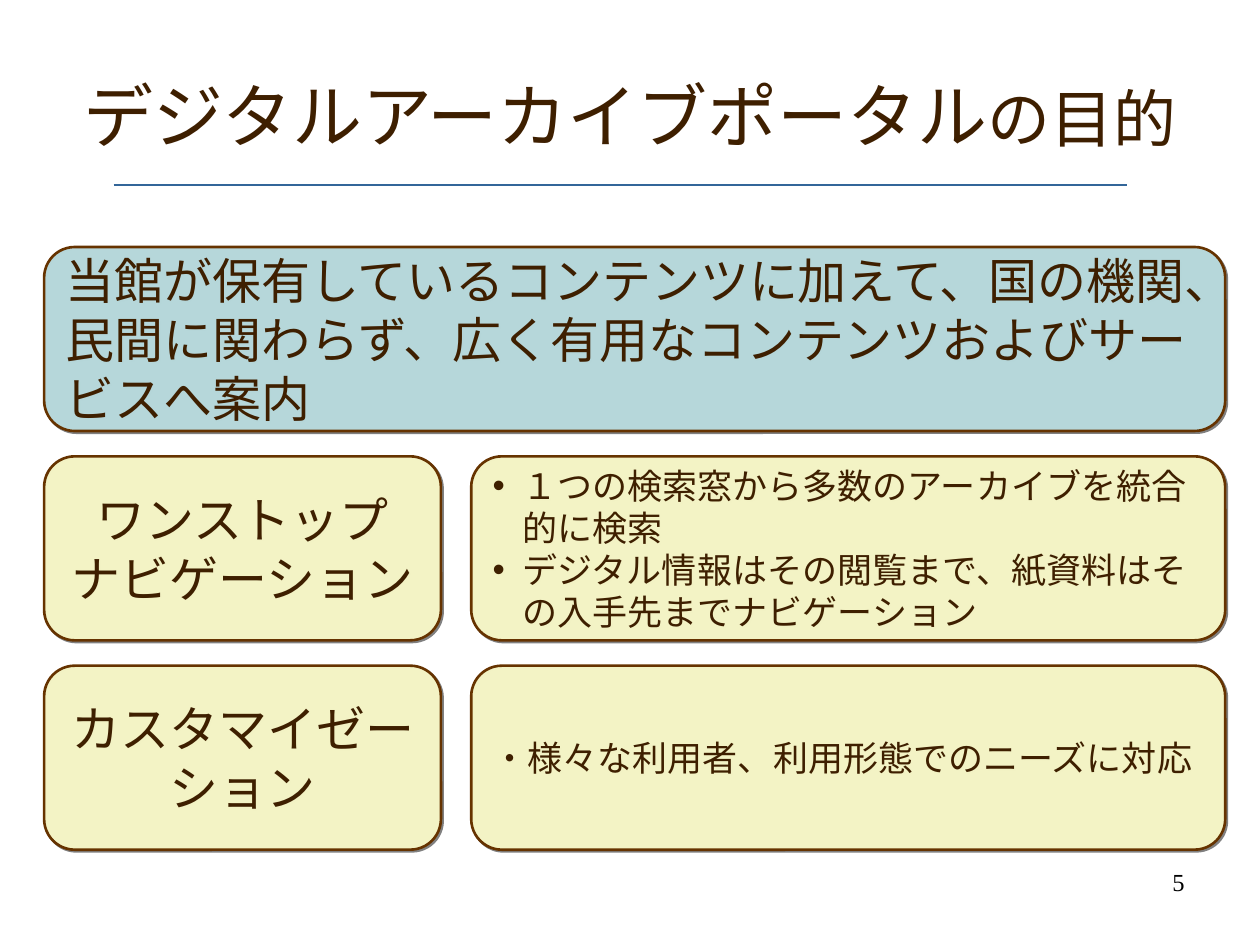
from lxml.etree import SubElement as Sub
from pptx import Presentation
from pptx.dml.color import RGBColor
from pptx.enum.lang import MSO_LANGUAGE_ID as Lang
from pptx.enum.shapes import MSO_CONNECTOR as Conn, MSO_SHAPE as Shape
from pptx.enum.text import MSO_ANCHOR as Anchor, MSO_AUTO_SIZE as Auto, PP_ALIGN as Align
from pptx.oxml.ns import qn
from pptx.util import Cm, Pt

BROWN = RGBColor(0x3E, 0x1F, 0x00)
EDGE = RGBColor(0x66, 0x33, 0x00)
CREAM = RGBColor(0xFF, 0xFF, 0xCC)
AQUA = RGBColor(0xBB, 0xE0, 0xE3)
BLUE = RGBColor(0x33, 0x66, 0x99)
BLACK = RGBColor(0, 0, 0)
NOTO, DEJA, ARIAL, TIMES = "Noto Sans CJK JP", "DejaVu Sans", "Arial", "Times New Roman"

# Grid of the boxes, in cm
LEFT, TOP, HIGH = 0.89, 4.98, 3.71
STEP = 4.22
SIDE, GAP, MAIN = 8.0, 0.61, 15.2
FULL = SIDE + GAP + MAIN


def add_run(para, text, size, font, east=DEJA, color=BROWN):
    run = para.add_run()
    run.text = text
    run.font.size = Pt(size)
    run.font.name = font
    run.font.color.rgb = color
    run.font.language_id = Lang.JAPANESE
    latin = run.font._element.find(qn("a:latin"))
    latin.addnext(latin.makeelement(qn("a:ea"), typeface=east))


def add_dot(para):
    props = para._p.get_or_add_pPr()
    props.set("marL", str(Cm(0.6)))
    props.set("indent", str(-Cm(0.6)))
    color = Sub(props, qn("a:buClr"))
    Sub(color, qn("a:srgbClr"), val=str(BROWN))
    Sub(props, qn("a:buFont"), typeface=ARIAL)
    Sub(props, qn("a:buChar"), char="•")


def add_shade(shape):
    shape.shadow.inherit = False
    effects = shape._element.spPr.find(qn("a:effectLst"))
    shade = Sub(effects, qn("a:outerShdw"), dist=str(Pt(1.4)), dir="2700000", algn="ctr", rotWithShape="0")
    Sub(shade, qn("a:srgbClr"), val="808080")


def add_box(slide, row, left, width, lines, size, fill=CREAM, align=Align.LEFT, dots=False):
    """Draw a rounded box; lines holds pairs of text and font."""
    box = slide.shapes.add_shape(Shape.FLOWCHART_ALTERNATE_PROCESS, Cm(left), Cm(TOP + row * STEP),
                                 Cm(width), Cm(HIGH))
    box.fill.solid()
    box.fill.fore_color.rgb = fill
    color = box._element.spPr.find(qn("a:solidFill"))[0]
    Sub(color, qn("a:alpha"), val="90000")
    box.line.color.rgb = EDGE
    box.line.width = Pt(1.5)
    add_shade(box)

    frame = box.text_frame
    frame.word_wrap = True
    frame.vertical_anchor = Anchor.MIDDLE
    for i, (text, font) in enumerate(lines):
        para = frame.add_paragraph() if i else frame.paragraphs[0]
        if dots:
            add_dot(para)
        para.alignment = align
        para.line_spacing = Pt(size * 1.2)
        add_run(para, text, size, font)


def add_title(slide):
    title = slide.shapes.title
    title.left, title.top, title.width, title.height = Cm(1.27), Cm(0.71), Cm(22.86), Cm(3.18)
    frame = title.text_frame
    frame.auto_size = Auto.NONE
    frame.vertical_anchor = Anchor.MIDDLE
    para = frame.paragraphs[0]
    para.alignment = Align.CENTER
    add_run(para, "デジタルアーカイブポータル", 40, NOTO, NOTO)
    add_run(para, "の目的", 36, NOTO, NOTO)


def add_rule(slide):
    rule = slide.shapes.add_connector(Conn.STRAIGHT, Cm(2.29), Cm(3.73), Cm(22.71), Cm(3.73))
    rule.line.color.rgb = BLUE
    rule.line.width = Pt(0.75)
    Sub(rule._element.spPr, qn("a:effectLst"))


def add_page(slide, text):
    frame = slide.shapes.add_textbox(Cm(18.21), Cm(17.35), Cm(5.92), Cm(1.32)).text_frame
    frame.word_wrap = True
    para = frame.paragraphs[0]
    para.alignment = Align.RIGHT
    add_run(para, text, 14, TIMES, TIMES, BLACK)


def main():
    deck = Presentation()
    deck.slide_width, deck.slide_height = Cm(25.4), Cm(19.05)
    slide = deck.slides.add_slide(deck.slide_layouts[5])

    # Heading
    add_rule(slide)
    add_title(slide)

    # Overall aim
    add_box(slide, 0, LEFT, FULL, [
        ("当館が保有しているコンテンツに加えて、国の機関、民間に関わらず、広く有用なコンテンツおよびサービスへ案内", NOTO),
    ], 28, AQUA)

    # Two goals, each with its details
    right = LEFT + SIDE + GAP
    add_box(slide, 1, LEFT, SIDE, [("ワンストップ", DEJA), ("ナビゲーション", DEJA)], 28, align=Align.CENTER)
    add_box(slide, 1, right, MAIN, [
        ("１つの検索窓から多数のアーカイブを統合的に検索", DEJA),
        ("デジタル情報はその閲覧まで、紙資料はその入手先までナビゲーション", ARIAL),
    ], 20, dots=True)
    add_box(slide, 2, LEFT, SIDE, [("カスタマイゼーション", DEJA)], 28, align=Align.CENTER)
    add_box(slide, 2, right, MAIN, [("・様々な利用者、利用形態でのニーズに対応", DEJA)], 20)

    # Page number
    add_page(slide, "5")
    deck.save("out.pptx")


if __name__ == "__main__":
    main()
